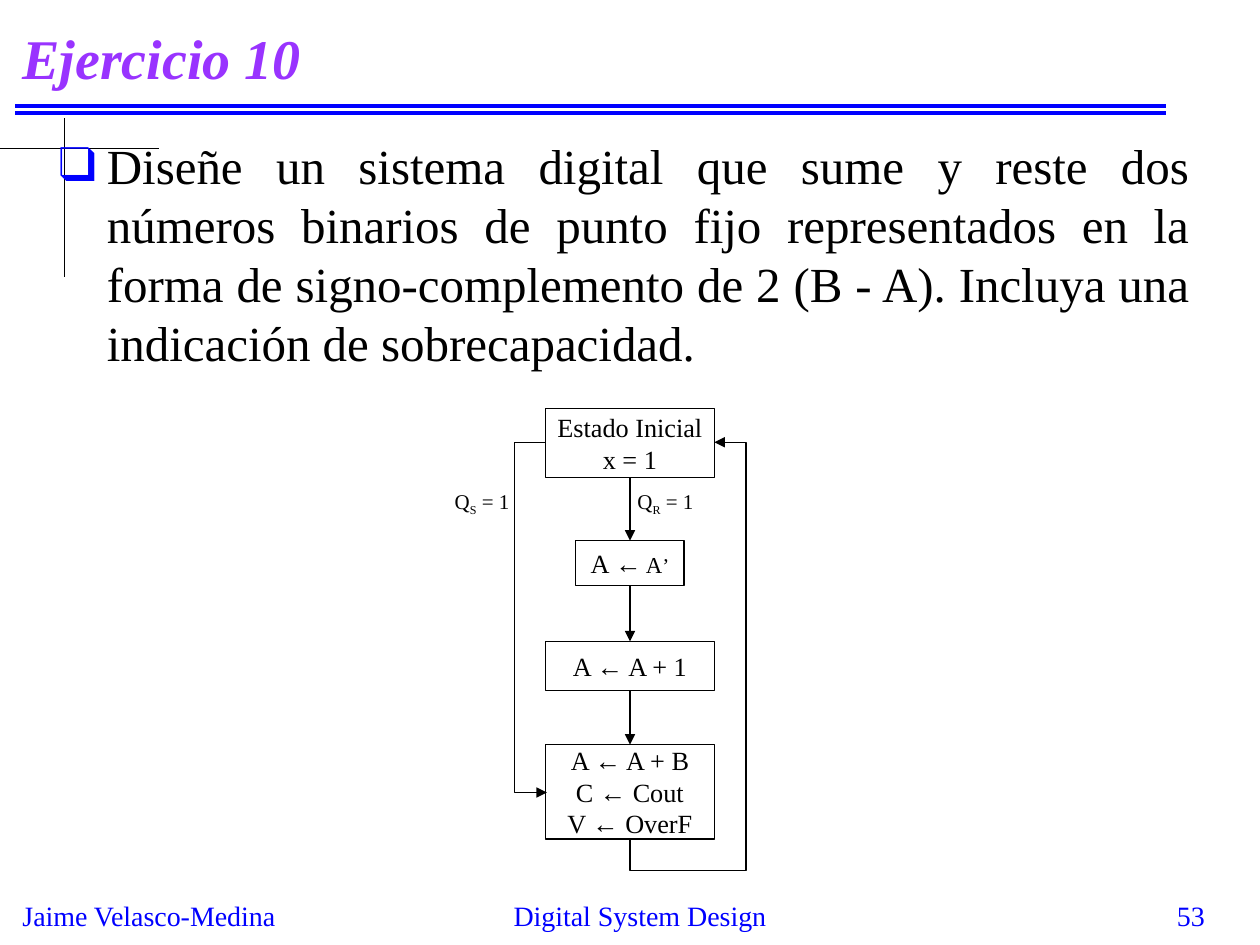
import pptx
import pptx.util
import pptx.dml.color
import pptx.enum.shapes
import pptx.enum.text
import pptx.oxml
import pptx.oxml.ns

PX = 9144
FONT = "Times New Roman"
BLACK, BLUE, PURPLE = "000000", "0000FF", "9933FF"
ALIGN = pptx.enum.text.PP_ALIGN
ANCHOR = pptx.enum.text.MSO_ANCHOR
SHAPE = pptx.enum.shapes.MSO_SHAPE
CONNECTOR = pptx.enum.shapes.MSO_CONNECTOR


def emu(*lengths):
    return [length * PX for length in lengths]


def rgb(value):
    return pptx.dml.color.RGBColor.from_string(value)


def add_xml(parent, tag, **attrs):
    child = pptx.oxml.parse_xml(f"<a:{tag} {pptx.oxml.ns.nsdecls('a')}/>")
    for name, value in attrs.items():
        child.set(name, value)
    parent.append(child)
    return child


def write(tf, paragraphs, size=15, color=BLACK, align=ALIGN.LEFT, anchor=ANCHOR.TOP,
          wrap=True, bold=False, italic=False):
    tf.word_wrap = wrap
    tf.vertical_anchor = anchor
    for i, runs in enumerate(paragraphs):
        p = tf.paragraphs[0] if i == 0 else tf.add_paragraph()
        p.alignment = align
        for run in [(runs,)] if isinstance(runs, str) else runs:
            text, run_size, baseline = (*run, None, None)[:3]
            r = p.add_run()
            r.text = text
            r.font.name = FONT
            r.font.size = pptx.util.Pt(run_size or size)
            r.font.bold, r.font.italic = bold, italic
            r.font.color.rgb = rgb(color)
            if baseline:
                r.font._element.set("baseline", str(baseline))


def add_text(s, box, text, **fmt):
    sp = s.shapes.add_textbox(*emu(*box))
    write(sp.text_frame, [text], **fmt)
    return sp


def add_line(s, x1, y1, x2, y2, color=BLACK, width=0.75, arrow=False, kind=CONNECTOR.STRAIGHT):
    cn = s.shapes.add_connector(kind, *emu(x1, y1, x2, y2))
    cn.line.color.rgb = rgb(color)
    cn.line.width = pptx.util.Pt(width)
    if arrow:
        add_xml(cn.line._get_or_add_ln(), "tailEnd", type="triangle")
    add_xml(cn._element.spPr, "effectLst")
    return cn


def bend(cn, preset, *adjusts):
    geom = cn._element.spPr.find(pptx.oxml.ns.qn("a:prstGeom"))
    geom.set("prst", preset)
    for old in list(geom):
        geom.remove(old)
    guides = add_xml(geom, "avLst")
    for i, value in enumerate(adjusts, 1):
        add_xml(guides, "gd", name=f"adj{i}", fmla=f"val {value}")


def add_header(s, x, y, w, h):
    for rule_y in (y + 76, y + 82):
        add_line(s, x + 4, rule_y, x + w, rule_y, BLUE, 2.25)
    add_line(s, x - 8, y + 110, x + 118, y + 110)
    add_line(s, x + 43, y + 86, x + 43, y + 212)
    add_text(s, (x, y, w, h), "Ejercicio 10", size=32, color=PURPLE,
             bold=True, italic=True, anchor=ANCHOR.MIDDLE)


def add_body(s, x, y, w, h):
    sp = add_text(s, (x, y, w, h),
                  "Diseñe un sistema digital que sume y reste dos números binarios de punto "
                  "fijo representados en la forma de signo-complemento de 2 (B - A). "
                  "Incluya una indicación de sobrecapacidad.",
                  size=28, align=ALIGN.JUSTIFY)
    pPr = sp.text_frame.paragraphs[0]._p.get_or_add_pPr()
    pPr.set("marL", str(38 * PX))
    pPr.set("indent", str(-38 * PX))
    add_xml(add_xml(pPr, "buClr"), "srgbClr", val=BLUE)
    add_xml(pPr, "buFont", typeface=FONT)
    add_xml(pPr, "buChar", char="❑")


def add_process(s, x, y, w, h, lines):
    sp = s.shapes.add_shape(SHAPE.FLOWCHART_PROCESS, *emu(x, y, w, h))
    sp.shadow.inherit = False
    sp.fill.background()
    sp.line.color.rgb = rgb(BLACK)
    sp.line.width = pptx.util.Pt(0.75)
    write(sp.text_frame, lines, align=ALIGN.CENTER, anchor=ANCHOR.MIDDLE, wrap=False)
    return sp


def add_flowchart(s, x, y, w, h):
    axis, half = x + 149, 67
    steps = [
        (0, 55, 134, ["Estado Inicial", "x = 1"]),
        (105, 36, 86, [[("A",), (" ", 13), ("←",), (" A", 13), ("’", 12)]]),
        (185, 39, 134, ["A ← A + 1"]),
        (267, 75, 134, ["A ← A + B", "C ← Cout", "V ← OverF"]),
    ]
    boxes = [add_process(s, axis - width // 2, y + top, width, height, lines)
             for top, height, width, lines in steps]
    for upper, lower in zip(boxes, boxes[1:]):
        cn = add_line(s, axis, y, axis, y + 1, arrow=True)
        cn.begin_connect(upper, 2)
        cn.end_connect(lower, 0)

    left = axis - half
    cn = add_line(s, left, y + 27, left + 1, y + 305, arrow=True, kind=CONNECTOR.ELBOW)
    bend(cn, "bentConnector3", -25 * 100000)

    rise, bottom = 315, y + 342
    mid_x, mid_y = axis + half / 2, bottom - rise / 2
    cn = add_line(s, 0, 0, rise, half, arrow=True, kind=CONNECTOR.ELBOW)
    cn.left, cn.top = int((mid_x - rise / 2) * PX), int((mid_y - half / 2) * PX)
    xfrm = cn._element.spPr.find(pptx.oxml.ns.qn("a:xfrm"))
    for name, value in (("rot", "5400000"), ("flipH", "1"), ("flipV", "1")):
        xfrm.set(name, value)
    bend(cn, "bentConnector4", -7900, 137400)

    for label_x, sub in ((x, "S"), (x + 145, "R")):
        add_text(s, (label_x, y + 59, 78, 30),
                 [("Q",), (sub, 12, -25000), (" = 1",)], size=12)


def add_footer(s, x, y, w, h):
    add_text(s, (x, y, 225, h), "Jaime Velasco-Medina", size=16, color=BLUE, wrap=False)
    add_text(s, (x + 325, y, 350, h), "Digital System Design", size=16, color=BLUE,
             align=ALIGN.CENTER)
    add_text(s, (x + w - 208, y, 208, h), "53", size=16, color=BLUE, align=ALIGN.RIGHT)


def main():
    prs = pptx.Presentation()
    prs.slide_width, prs.slide_height = emu(1000, 750)
    s = prs.slides.add_slide(prs.slide_layouts[6])
    add_header(s, 8, 8, 917, 75)
    add_body(s, 37, 103, 917, 203)
    add_flowchart(s, 351, 324, 241, 367)
    add_footer(s, 8, 708, 958, 33)
    prs.save("out.pptx")


if __name__ == "__main__":
    main()
